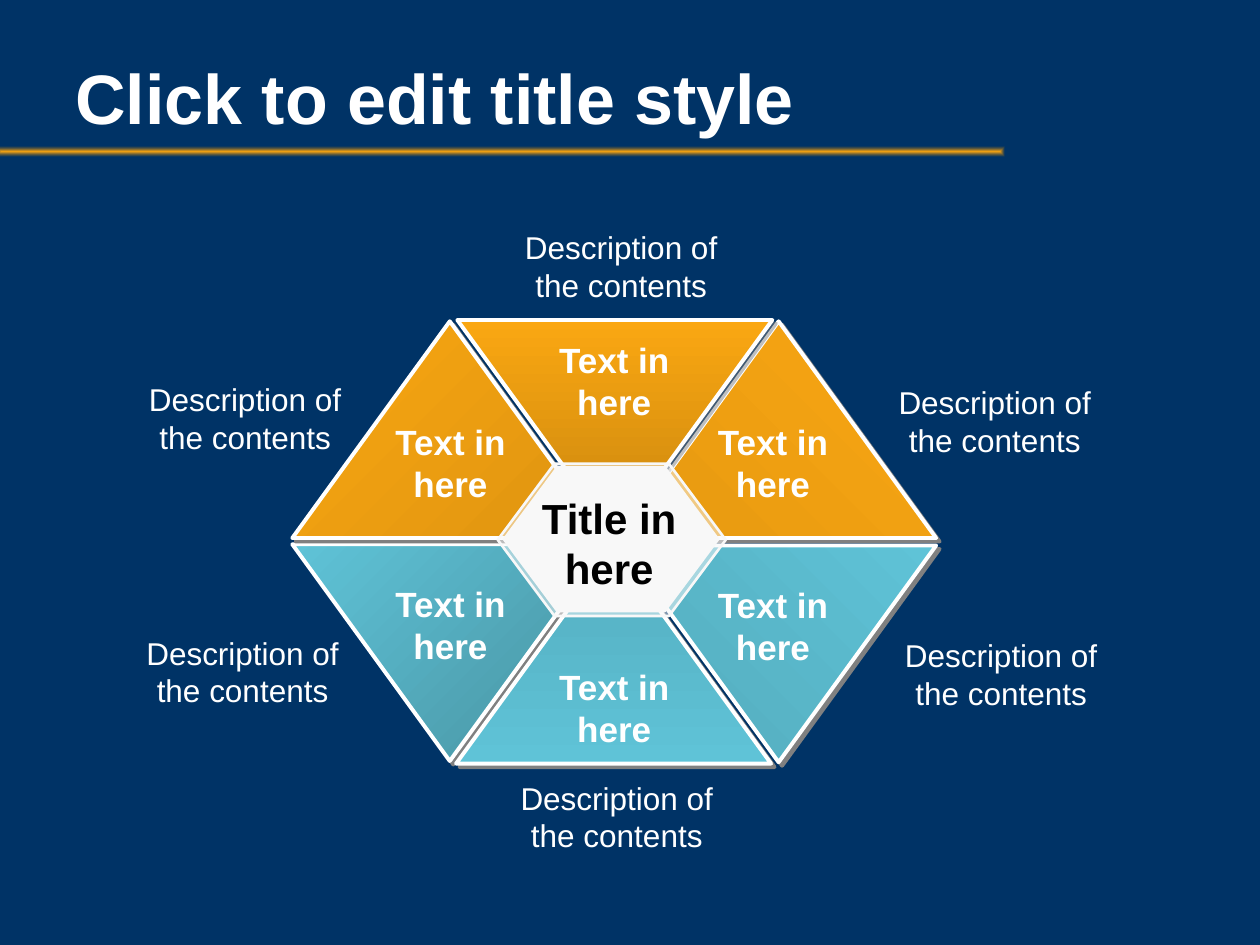
"""Build a slide with a six-part hexagon diagram around a central title."""

from dataclasses import dataclass

from lxml.etree import SubElement
from pptx import Presentation
from pptx.dml.color import RGBColor
from pptx.enum.shapes import MSO_SHAPE
from pptx.enum.text import MSO_ANCHOR, PP_ALIGN
from pptx.oxml.ns import qn
from pptx.util import Inches, Pt


@dataclass(frozen=True)
class Theme:
    """Colours, font and type sizes of the slide."""

    font: str = "Arial"
    background: str = "003366"
    white: str = "FFFFFF"
    black: str = "000000"
    hub: str = "F8F8F8"
    shadow: str = "808080"
    orange: str = "FAA712"
    dark_orange: str = "B3770D"
    blue: str = "5FC3D7"
    title_size: int = 40
    hub_size: int = 24
    label_size: int = 20
    description_size: int = 18


@dataclass(frozen=True)
class Segment:
    """One triangle of the hexagon."""

    left: float
    top: float
    start: str
    end: str
    angle: int
    flipped: bool = False
    shadow_opacity: int = 100


@dataclass(frozen=True)
class Caption:
    """Place and wording of a text box."""

    left: float
    top: float
    width: float
    height: float
    text: str


THEME = Theme()
SEGMENTS = [
    Segment(2.32, 4.32, THEME.blue, "4791A0", 315, flipped=True),
    Segment(4.93, 2.55, "E69911", THEME.orange, 315),
    Segment(2.32, 2.55, THEME.orange, "DE9410", 45),
    Segment(3.63, 2.54, "C9860E", THEME.orange, 90, flipped=True, shadow_opacity=50),
    Segment(3.62, 4.34, "54ADBF", THEME.blue, 90),
    Segment(4.93, 4.33, "53AABB", THEME.blue, 45, flipped=True),
]
LABELS = [
    Caption(left, top, 1.35, 0.77, "Text in here")
    for left, top in [
        (4.2, 2.64), (2.9, 4.57), (5.46, 4.58), (4.2, 5.23), (2.9, 3.29), (5.46, 3.29)
    ]
]
DESCRIPTIONS = [
    Caption(left, top, 1.95, 0.7, "Description of the contents")
    for left, top in [(0.97, 2.97), (6.92, 2.99), (0.95, 4.98), (6.97, 5)]
] + [
    Caption(3.25, 1.76, 3.36, 0.7, "Description of\nthe contents"),
    Caption(3.55, 6.13, 2.69, 0.7, "Description of\nthe contents"),
]


def add_text(
    page,
    caption: Caption,
    *,
    size: int,
    color: str = THEME.white,
    bold: bool = False,
    align: PP_ALIGN = PP_ALIGN.CENTER,
    anchor: MSO_ANCHOR = MSO_ANCHOR.TOP,
) -> None:
    """Add a wrapped text box, one paragraph for each line of the caption."""
    box = page.shapes.add_textbox(
        Inches(caption.left), Inches(caption.top), Inches(caption.width), Inches(caption.height)
    )
    frame = box.text_frame
    frame.word_wrap = True
    frame.vertical_anchor = anchor
    frame.text = caption.text
    for para in frame.paragraphs:
        para.alignment = align
        for span in para.runs:
            span.font.name = THEME.font
            span.font.size = Pt(size)
            span.font.bold = bold
            span.font.color.rgb = RGBColor.from_string(color)


def add_preset(shapes, kind: MSO_SHAPE, left: float, top: float, width: float, height: float):
    """Add a preset shape without a shadow."""
    shape = shapes.add_shape(kind, Inches(left), Inches(top), Inches(width), Inches(height))
    shape.shadow.inherit = False
    return shape


def set_line(shape, color: str, width: float) -> None:
    """Give a shape a solid outline."""
    shape.line.color.rgb = RGBColor.from_string(color)
    shape.line.width = Pt(width)


def set_gradient(shape, start: str, end: str, angle: int):
    """Fill a shape with two colours along a clockwise angle."""
    shape.fill.gradient()
    shape.fill.gradient_angle = (360 - angle) % 360
    for stop, color in zip(shape.fill.gradient_stops, (start, end)):
        stop.color.rgb = RGBColor.from_string(color)
    return shape.element.spPr.find(qn("a:gradFill"))


def set_opacity(color_element, percent: int) -> None:
    """Set the opacity of a colour element."""
    SubElement(color_element, qn("a:alpha"), val=str(percent * 1000))


def add_segment(page, segment: Segment) -> None:
    """Draw one triangle with its gradient, outline and shadow."""
    shape = add_preset(
        page.shapes, MSO_SHAPE.ISOSCELES_TRIANGLE, segment.left, segment.top, 2.5, 1.72
    )
    set_gradient(shape, segment.start, segment.end, segment.angle)
    set_line(shape, THEME.white, 2.25)
    properties = shape.element.spPr
    if segment.flipped:
        properties.find(qn("a:xfrm")).set("flipV", "1")
    shadow = SubElement(
        properties.find(qn("a:effectLst")),
        qn("a:outerShdw"),
        dist=str(Pt(2.8)),
        dir=str(45 * 60000),
        algn="ctr",
        rotWithShape="0",
    )
    color = SubElement(shadow, qn("a:srgbClr"), val=THEME.shadow)
    set_opacity(color, segment.shadow_opacity)


def add_title_rule(page) -> None:
    """Draw the glowing rule under the title."""
    rule = add_preset(page.shapes, MSO_SHAPE.RECTANGLE, -0.03, 1.16, 8, 0.08)
    rule.line.fill.background()
    gradient = set_gradient(rule, THEME.orange, THEME.dark_orange, 0)
    set_opacity(gradient.findall(".//" + qn("a:srgbClr"))[-1], 0)
    gradient.remove(gradient.find(qn("a:lin")))
    route = SubElement(gradient, qn("a:path"), path="shape")
    SubElement(route, qn("a:fillToRect"), l="50000", t="50000", r="50000", b="50000")


def add_hub(page) -> None:
    """Draw the central hexagon with its translucent rim."""
    group = page.shapes.add_group_shape()
    for bounds, bend, opacity in [
        ((3.95, 3.68, 1.81, 1.21), 0.373, 50),
        ((4, 3.71, 1.7, 1.14), 0.372, 100),
    ]:
        shape = add_preset(group.shapes, MSO_SHAPE.HEXAGON, *bounds)
        shape.adjustments[0] = bend
        shape.fill.solid()
        shape.fill.fore_color.rgb = RGBColor.from_string(THEME.hub)
        set_opacity(shape.element.spPr.find(qn("a:solidFill"))[0], opacity)
        set_line(shape, THEME.hub, 1.5)


def main() -> None:
    """Build and save the deck."""
    deck = Presentation()
    deck.slide_width, deck.slide_height = Inches(10), Inches(7.5)
    page = deck.slides.add_slide(deck.slide_layouts[6])
    page.background.fill.solid()
    page.background.fill.fore_color.rgb = RGBColor.from_string(THEME.background)
    add_title_rule(page)
    for segment in SEGMENTS:
        add_segment(page, segment)
    for label in LABELS:
        add_text(page, label, size=THEME.label_size, bold=True)
    for description in DESCRIPTIONS:
        add_text(page, description, size=THEME.description_size)
    add_hub(page)
    hub_title = Caption(4.17, 3.86, 1.33, 0.9, "Title in here")
    add_text(page, hub_title, size=THEME.hub_size, color=THEME.black, bold=True)
    title = Caption(0.5, 0.18, 8.58, 1.17, "Click to edit title style")
    add_text(page, title, size=THEME.title_size, bold=True,
             align=PP_ALIGN.LEFT, anchor=MSO_ANCHOR.MIDDLE)
    deck.save("out.pptx")


if __name__ == "__main__":
    main()
